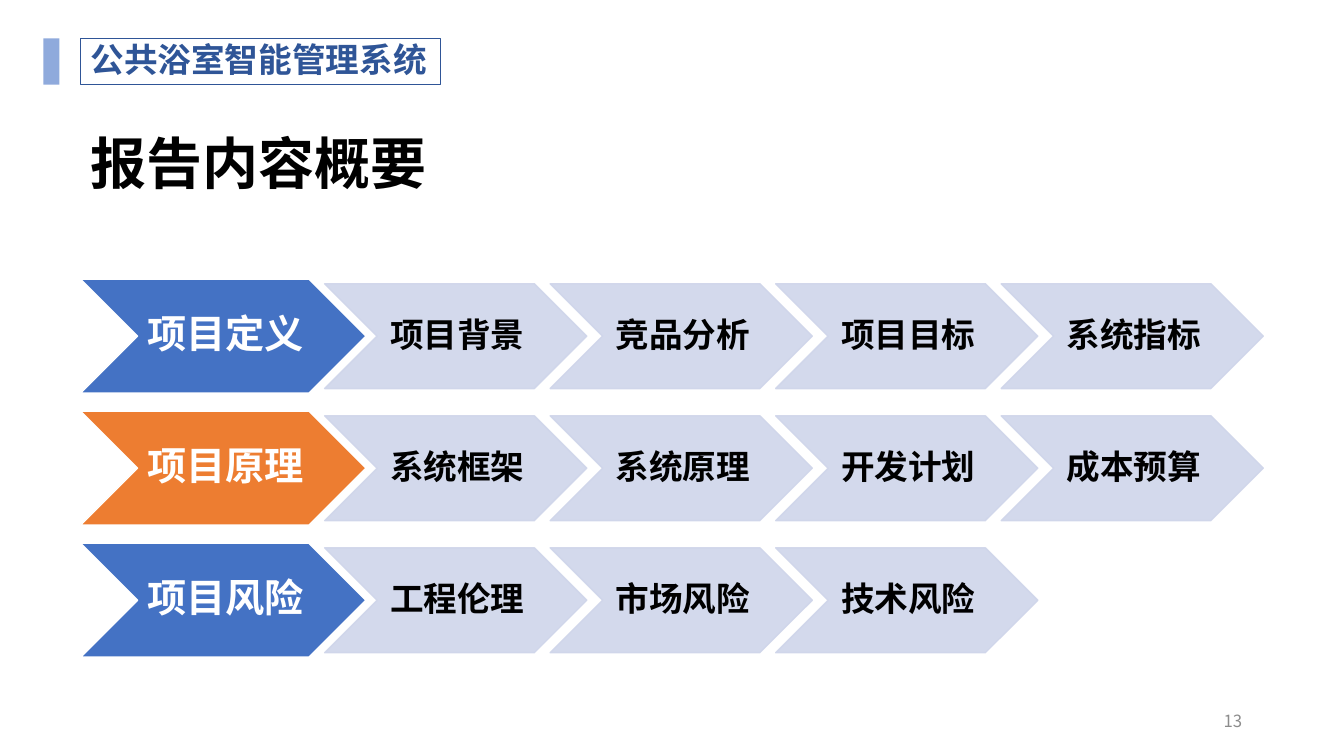
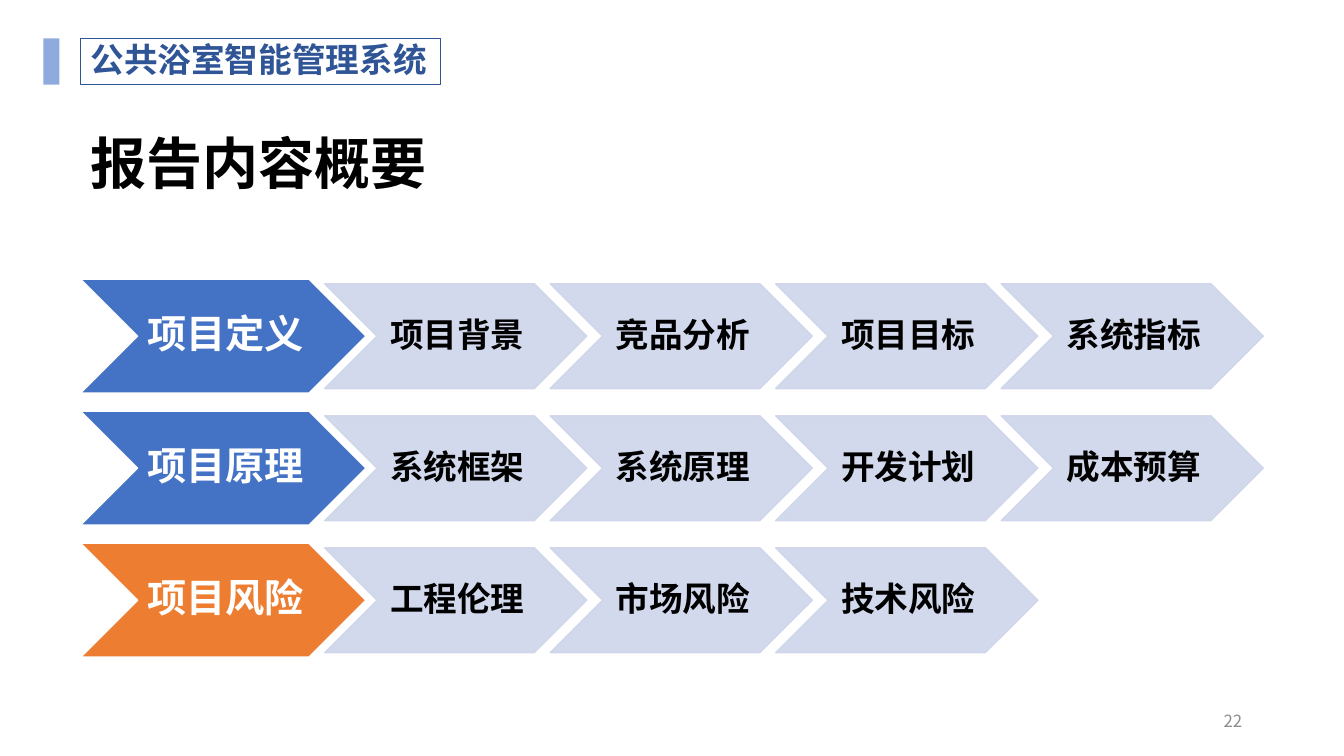
"""Build the two report overview slides with a different chapter highlighted on each."""
from dataclasses import dataclass

from pptx import Presentation
from pptx.dml.color import RGBColor
from pptx.enum.shapes import MSO_SHAPE
from pptx.enum.text import MSO_ANCHOR, PP_ALIGN
from pptx.oxml.ns import qn
from pptx.util import Pt
from lxml.etree import SubElement

SYSTEM_NAME = "公共浴室智能管理系统"
TITLE = "报告内容概要"
CHAPTERS = [
    ("项目定义", ["项目背景", "竞品分析", "项目目标", "系统指标"]),
    ("项目原理", ["系统框架", "系统原理", "开发计划", "成本预算"]),
    ("项目风险", ["工程伦理", "市场风险", "技术风险"]),
]
SLIDES = [
    {"number": "13", "active": "项目原理"},
    {"number": "22", "active": "项目风险"},
]

EMU_PER_PX = 9144
SLIDE_SIZE = (1333, 750)
LEFT = 80
RIGHT = 1253
ROW_TOP, ROW_PITCH = 277, 131
CHAPTER_SIZE = (283, 113)
TOPIC_SIZE = (260, 104)
TOPIC_LEFT = 322
TOPIC_COLUMNS = max(len(topics) for _, topics in CHAPTERS)
TOPIC_PITCH = (RIGHT - TOPIC_SIZE[0] - TOPIC_LEFT) / (TOPIC_COLUMNS - 1)


@dataclass(frozen=True)
class Theme:
    font: str = "Noto Sans CJK SC"
    title_font: str = "Arial"
    black: str = "000000"
    white: str = "FFFFFF"
    chapter: str = "4472C4"
    active: str = "ED7D31"
    topic: str = "CFD5EA"
    header: str = "2F5597"
    accent: str = "8FAADC"
    footer: str = "8C8C8C"
    title_size: int = 40
    chapter_size: int = 28
    body_size: int = 24
    footer_size: int = 12
    topic_opacity: int = 90


THEME = Theme()


def px(value):
    return round(value * EMU_PER_PX)


def paint(color_format, color, opacity=100):
    color_format.solid()
    color_format.fore_color.rgb = RGBColor.from_string(color)
    if opacity < 100:
        for node in color_format._xPr.iter(qn("a:srgbClr")):
            if node.find(qn("a:alpha")) is None:
                SubElement(node, qn("a:alpha")).set("val", str(opacity * 1000))


def add_block(slide, kind, box, fill=None, line=None, line_width=1, opacity=100):
    shape = slide.shapes.add_shape(kind, *map(px, box))
    shape.shadow.inherit = False
    if fill:
        paint(shape.fill, fill, opacity)
    else:
        shape.fill.background()
    if line:
        shape.line.width = Pt(line_width)
        paint(shape.line.fill, line, opacity)
    else:
        shape.line.fill.background()
    return shape


def write(shape, text, size, color, bold=True, font=THEME.font, align=PP_ALIGN.LEFT,
          anchor=MSO_ANCHOR.MIDDLE, spacing=None, wrap=True, margins=(10, 5, 10, 5)):
    frame = shape.text_frame
    frame.text = text
    frame.word_wrap = wrap
    frame.vertical_anchor = anchor
    frame.margin_left, frame.margin_top, frame.margin_right, frame.margin_bottom = map(px, margins)
    paragraph = frame.paragraphs[0]
    paragraph.alignment = align
    if spacing:
        paragraph.line_spacing = spacing
    run = paragraph.runs[0]
    run.font.name = font
    run.font.size = Pt(size)
    run.font.bold = bold
    run.font.color.rgb = RGBColor.from_string(color)
    SubElement(run.font._element, qn("a:ea")).set("typeface", THEME.font)


def add_text(slide, box, text, size, color, **style):
    write(slide.shapes.add_textbox(*map(px, box)), text, size, color, **style)


def add_chevron(slide, left, middle, size, text, text_size, text_color, left_margin, **paint_style):
    width, height = size
    box = (left, middle - height / 2, width, height)
    chevron = add_block(slide, MSO_SHAPE.CHEVRON, box, **paint_style)
    write(chevron, text, text_size, text_color, align=PP_ALIGN.CENTER, spacing=0.9,
          margins=(left_margin, 2, 0, 2))


def add_chapters(slide, active):
    for row, (chapter, topics) in enumerate(CHAPTERS):
        middle = ROW_TOP + row * ROW_PITCH + CHAPTER_SIZE[1] / 2
        fill = THEME.active if chapter == active else THEME.chapter
        add_chevron(slide, LEFT, middle, CHAPTER_SIZE, chapter, THEME.chapter_size,
                    THEME.white, 4, fill=fill, line=THEME.white)
        for column, topic in enumerate(topics):
            add_chevron(slide, TOPIC_LEFT + column * TOPIC_PITCH, middle, TOPIC_SIZE, topic,
                        THEME.body_size, THEME.black, 3, fill=THEME.topic, line=THEME.topic,
                        opacity=THEME.topic_opacity)


def add_frame(slide, number):
    add_text(slide, (LEFT, 135, RIGHT - LEFT, 61), TITLE, THEME.title_size, THEME.black,
             font=THEME.title_font, spacing=0.9)
    add_text(slide, (942, 695, 300, 40), number, THEME.footer_size, THEME.footer,
             bold=False, align=PP_ALIGN.RIGHT)
    header = add_block(slide, MSO_SHAPE.RECTANGLE, (LEFT, 38, 357, 46),
                       line=THEME.header, line_width=0.75)
    write(header, SYSTEM_NAME, THEME.body_size, THEME.header, anchor=MSO_ANCHOR.TOP,
          spacing=0.9, wrap=False)
    add_block(slide, MSO_SHAPE.RECTANGLE, (43, 38, 16, 46), fill=THEME.accent)


def main():
    presentation = Presentation()
    presentation.slide_width, presentation.slide_height = map(px, SLIDE_SIZE)
    for content in SLIDES:
        slide = presentation.slides.add_slide(presentation.slide_layouts[6])
        add_frame(slide, content["number"])
        add_chapters(slide, content["active"])
    presentation.save("out.pptx")


if __name__ == "__main__":
    main()
